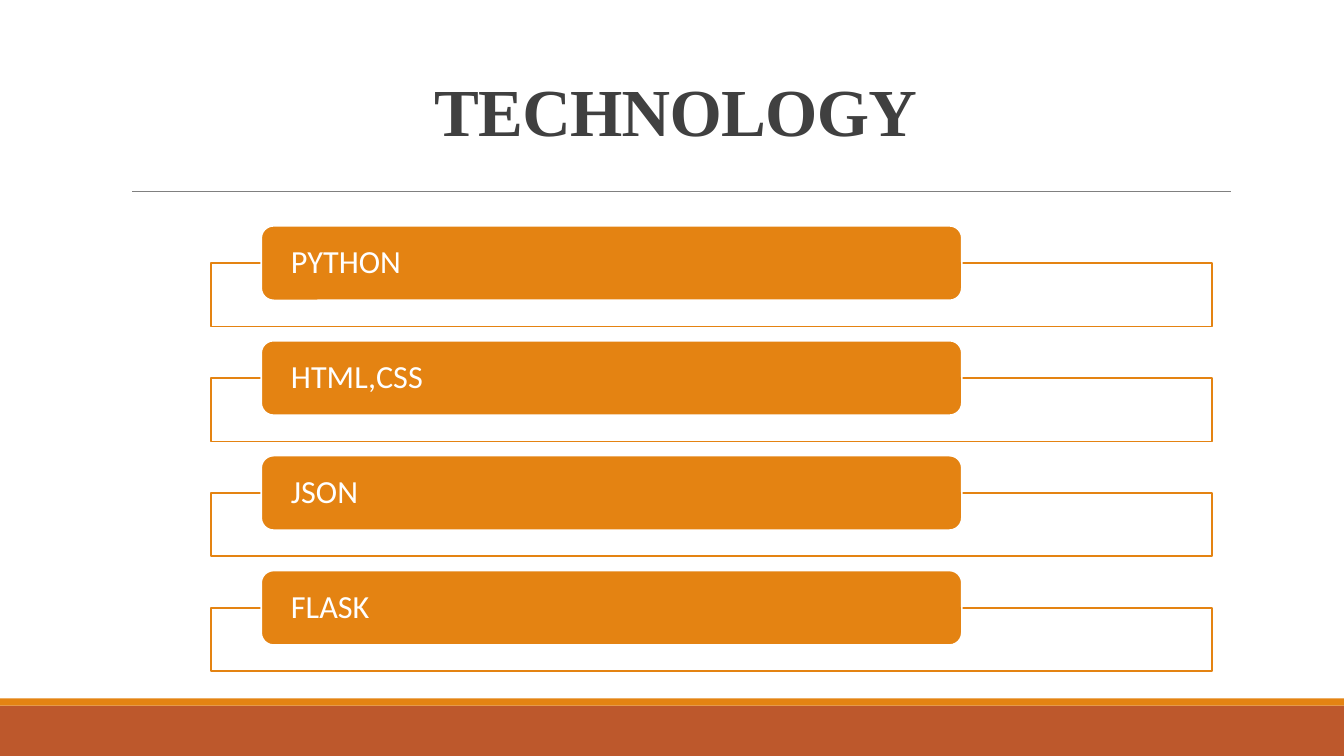
from lxml import etree
from pptx import Presentation
from pptx.dml.color import RGBColor
from pptx.enum.shapes import MSO_CONNECTOR, MSO_SHAPE
from pptx.enum.text import MSO_ANCHOR, MSO_AUTO_SIZE, PP_ALIGN
from pptx.oxml.ns import qn
from pptx.util import Inches, Pt

RECT, ROUNDED = MSO_SHAPE.RECTANGLE, MSO_SHAPE.ROUNDED_RECTANGLE
STRAIGHT = MSO_CONNECTOR.STRAIGHT
LEFT, CENTER = PP_ALIGN.LEFT, PP_ALIGN.CENTER
MIDDLE, BOTTOM = MSO_ANCHOR.MIDDLE, MSO_ANCHOR.BOTTOM
NO_AUTOFIT = MSO_AUTO_SIZE.NONE

WHITE = RGBColor(0xFF, 0xFF, 0xFF)
ORANGE = RGBColor(0xE4, 0x83, 0x12)
RUST = RGBColor(0xBD, 0x58, 0x2C)
GRAY = RGBColor(0x80, 0x80, 0x80)
DARK = RGBColor(0x40, 0x40, 0x40)

TECHNOLOGIES = ["PYTHON", "HTML,CSS", "JSON", "FLASK"]
FIRST_TOP, ROW_STEP = 2.24, 1.14


def write(frame, text, size, color, font="Calibri", bold=False, align=LEFT,
          anchor=MIDDLE, line_spacing=0.9, tracking=0):
    """Put one formatted line of text into a text frame."""
    frame.word_wrap = True
    frame.auto_size = NO_AUTOFIT
    frame.vertical_anchor = anchor
    paragraph = frame.paragraphs[0]
    paragraph.alignment = align
    paragraph.line_spacing = line_spacing
    run = paragraph.add_run()
    run.text = text
    run.font.name, run.font.size, run.font.bold = font, Pt(size), bold
    run.font.color.rgb = color
    if tracking:
        run.font._element.set("spc", str(round(tracking * 100)))


class TechnologySlide:
    def __init__(self, presentation):
        self.slide = presentation.slides.add_slide(presentation.slide_layouts[5])
        self.shapes = self.slide.shapes
        self.slide.background.fill.solid()
        self.slide.background.fill.fore_color.rgb = WHITE

    def title(self, text, left, top, width, height):
        heading = self.shapes.title
        heading.left, heading.top = Inches(left), Inches(top)
        heading.width, heading.height = Inches(width), Inches(height)
        write(heading.text_frame, text, 48, DARK, font="Times New Roman", bold=True,
              align=CENTER, anchor=BOTTOM, line_spacing=0.85, tracking=-0.5)

    def box(self, kind, left, top, width, height, fill, line=None, opacity=100):
        box = self.shapes.add_shape(kind, Inches(left), Inches(top),
                                    Inches(width), Inches(height))
        box.shadow.inherit = False
        box.fill.solid()
        box.fill.fore_color.rgb = fill
        if opacity < 100:
            color = box._element.spPr.find(qn("a:solidFill"))[0]
            etree.SubElement(color, qn("a:alpha"), val=str(opacity * 1000))
        if line is None:
            box.line.fill.background()
        else:
            box.line.color.rgb = line
            box.line.width = Pt(1.25)
        return box

    def rule(self, left, right, y):
        rule = self.shapes.add_connector(STRAIGHT, Inches(left), Inches(y),
                                         Inches(right), Inches(y))
        rule.line.color.rgb = GRAY
        rule.line.width = Pt(0.5)
        etree.SubElement(rule._element.spPr, qn("a:effectLst"))

    def technology(self, name, top):
        self.box(RECT, 2.09, top + 0.37, 9.93, 0.63, WHITE, ORANGE, opacity=90)
        label = self.box(ROUNDED, 2.59, top, 6.95, 0.74, ORANGE, WHITE)
        frame = label.text_frame
        frame.margin_left = frame.margin_right = Inches(0.26)
        frame.margin_top = frame.margin_bottom = 0
        write(frame, name, 23, WHITE)


def main():
    presentation = Presentation()
    presentation.slide_width = Inches(13.33)
    presentation.slide_height = Inches(7.5)
    slide = TechnologySlide(presentation)

    # Footer bands and title rule
    slide.box(RECT, 0, 7, 13.33, 0.5, RUST)
    slide.box(RECT, 0, 6.93, 13.33, 0.07, ORANGE)
    slide.rule(1.31, 12.21, 1.9)

    # Title
    slide.title("TECHNOLOGY", 1.2, 0.31, 11, 1.23)

    # Technology list
    for row, name in enumerate(TECHNOLOGIES):
        slide.technology(name, FIRST_TOP + row * ROW_STEP)

    presentation.save("out.pptx")


if __name__ == "__main__":
    main()
